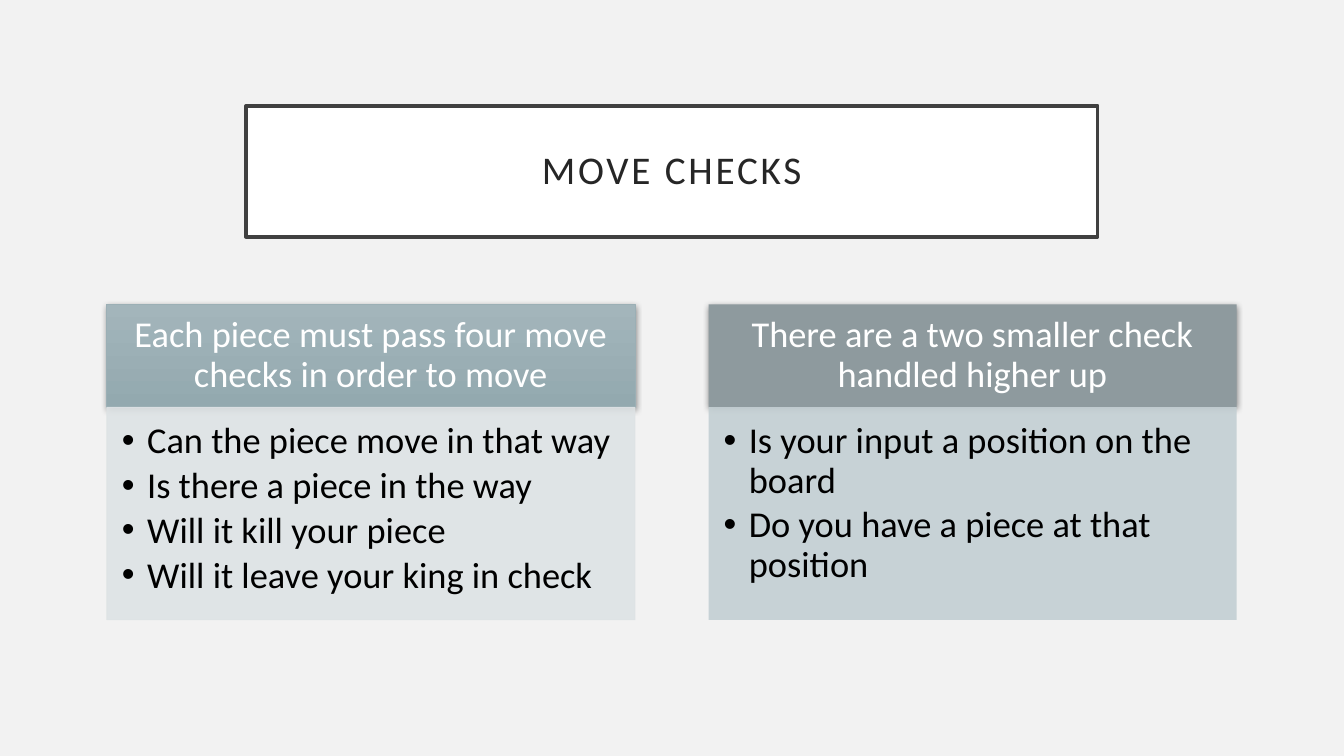
from dataclasses import dataclass

from lxml import etree
from pptx import Presentation
from pptx import util as u
from pptx.dml import color as dml
from pptx.enum import text
from pptx.oxml import ns

COLORS = {
    "background": "F2F2F2",
    "white": "FFFFFF",
    "black": "000000",
    "title_line": "404040",
    "title_text": "262626",
    "blue_top": "A3B5BB",
    "blue_bottom": "93A9AF",
    "blue_line": "9BAFB5",
    "gray": "8E9A9E",
    "pale_gray": "DEE3E5",
    "pale_blue": "C3CFD3",
}
FONT = "Calibri"
LEFT, COLUMN_WIDTH, COLUMN_PITCH = 76.3, 377.3, 429.8
HEADER_TOP, HEADER_HEIGHT, LIST_HEIGHT = 217.4, 73.5, 151.9


@dataclass
class Box:
    left: float
    top: float
    width: float
    height: float
    insets: tuple[float, float, float, float]
    anchor: text.MSO_ANCHOR = text.MSO_ANCHOR.MIDDLE


@dataclass
class TextStyle:
    size: float
    color: str
    align: text.PP_ALIGN
    space_after: float = 0


@dataclass
class CheckColumn:
    header: str
    header_fill: tuple[str, ...]
    header_line: str | None
    checks: list[str]
    list_fill: str
    list_line: str | None


TITLE_STYLE = TextStyle(28, "title_text", text.PP_ALIGN.CENTER)
HEADER_STYLE = TextStyle(26, "white", text.PP_ALIGN.CENTER)
LIST_STYLE = TextStyle(26, "black", text.PP_ALIGN.LEFT, 3.9)

COLUMNS = [
    CheckColumn(
        "Each piece must pass four move checks in order to move",
        ("blue_top", "blue_bottom"),
        "blue_line",
        [
            "Can the piece move in that way",
            "Is there a piece in the way",
            "Will it kill your piece",
            "Will it leave your king in check",
        ],
        "pale_gray",
        "pale_gray",
    ),
    CheckColumn(
        "There are a two smaller check handled higher up",
        ("gray",),
        None,
        [
            "Is your input a position on the board",
            "Do you have a piece at that position",
        ],
        "pale_blue",
        None,
    ),
]


def rgb(name: str) -> dml.RGBColor:
    return dml.RGBColor.from_string(COLORS[name])


def apply(target, values: dict) -> None:
    for name, value in values.items():
        setattr(target, name, value)


def add_child(parent, tag: str, **attributes: str):
    return etree.SubElement(parent, ns.qn(tag), attributes)


def paint(shape, fills: tuple[str, ...], line: str | None, width: float) -> None:
    if len(fills) == 2:
        shape.fill.gradient()
        shape.fill.gradient_angle = 270
        for stop, name in zip(shape.fill.gradient_stops, fills):
            stop.color.rgb = rgb(name)
    else:
        shape.fill.solid()
        shape.fill.fore_color.rgb = rgb(fills[0])
    if line:
        shape.line.color.rgb = rgb(line)
        shape.line.width = u.Pt(width)
    else:
        shape.line.fill.background()
    shape.shadow.inherit = False


def add_shadow(shape) -> None:
    effects = shape.element.spPr.find(ns.qn("a:effectLst"))
    shadow = add_child(effects, "a:outerShdw", blurRad=str(u.Pt(4.4)),
                       dist=str(u.Pt(1.2)), dir="5400000", rotWithShape="0")
    shadow_color = add_child(shadow, "a:srgbClr", val=COLORS["black"])
    add_child(shadow_color, "a:alpha", val="45000")


def make_translucent(shape) -> None:
    for shape_color in list(shape.element.spPr.iter(ns.qn("a:srgbClr"))):
        add_child(shape_color, "a:alpha", val="90000")


def write(shape, box: Box, lines: list[str], style: TextStyle) -> None:
    apply(shape, {name: u.Pt(getattr(box, name))
                  for name in ("left", "top", "width", "height")})
    frame = shape.text_frame
    margins = ("margin_left", "margin_top", "margin_right", "margin_bottom")
    apply(frame, {name: u.Pt(inset) for name, inset in zip(margins, box.insets)})
    apply(frame, {"word_wrap": True, "vertical_anchor": box.anchor,
                  "auto_size": text.MSO_AUTO_SIZE.NONE, "text": "\n".join(lines)})
    for paragraph in frame.paragraphs:
        apply(paragraph, {"alignment": style.align, "line_spacing": 0.9,
                          "space_before": u.Pt(0),
                          "space_after": u.Pt(style.space_after)})
        font = paragraph.runs[0].font
        apply(font, {"name": FONT, "size": u.Pt(style.size), "bold": False})
        font.color.rgb = rgb(style.color)


def add_bullets(shape) -> None:
    for paragraph in shape.text_frame.paragraphs:
        properties = paragraph._p.get_or_add_pPr()
        properties.set("marL", str(u.Pt(18)))
        properties.set("indent", str(u.Pt(-18)))
        add_child(properties, "a:buFont", typeface="Arial")
        add_child(properties, "a:buChar", char="•")


def draw_title(shape) -> None:
    box = Box(175.7, 75.6, 608.4, 93.6, (14.4,) * 4)
    write(shape, box, ["MOVE CHECKS"], TITLE_STYLE)
    paint(shape, ("white",), "title_line", 2.5)
    run = shape.text_frame.paragraphs[0].runs[0]
    run._r.get_or_add_rPr().set("spc", "200")


def draw_column(header, check_list, column: CheckColumn, left: float) -> None:
    header_box = Box(left, HEADER_TOP, COLUMN_WIDTH, HEADER_HEIGHT,
                     (14.4, 8.64, 14.4, 8.64))
    write(header, header_box, [column.header], HEADER_STYLE)
    paint(header, column.header_fill, column.header_line, 0.5)
    add_shadow(header)

    list_box = Box(left, HEADER_TOP + HEADER_HEIGHT, COLUMN_WIDTH, LIST_HEIGHT,
                   (10.8, 10.8, 14.4, 16.56), text.MSO_ANCHOR.TOP)
    write(check_list, list_box, column.checks, LIST_STYLE)
    paint(check_list, (column.list_fill,), column.list_line, 0.5)
    make_translucent(check_list)
    add_bullets(check_list)


def main() -> None:
    presentation = Presentation()
    apply(presentation, {"slide_width": u.Pt(960), "slide_height": u.Pt(540)})
    comparison_layout = presentation.slide_layouts.get_by_name("Comparison")
    slide = presentation.slides.add_slide(comparison_layout)
    slide.background.fill.solid()
    slide.background.fill.fore_color.rgb = rgb("background")

    title, *bodies = slide.placeholders
    draw_title(title)
    for index, column in enumerate(COLUMNS):
        header, check_list = bodies[2 * index:2 * index + 2]
        draw_column(header, check_list, column, LEFT + index * COLUMN_PITCH)
    presentation.save("out.pptx")


if __name__ == "__main__":
    main()
